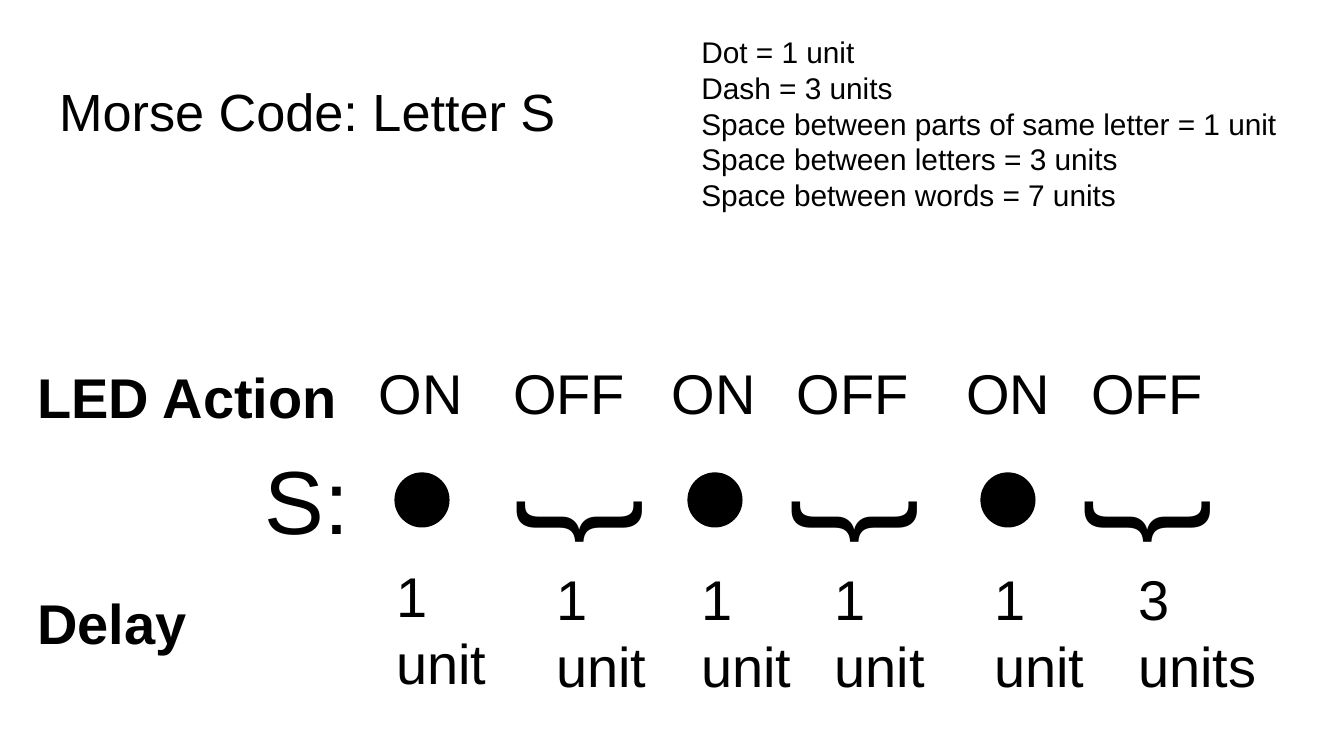
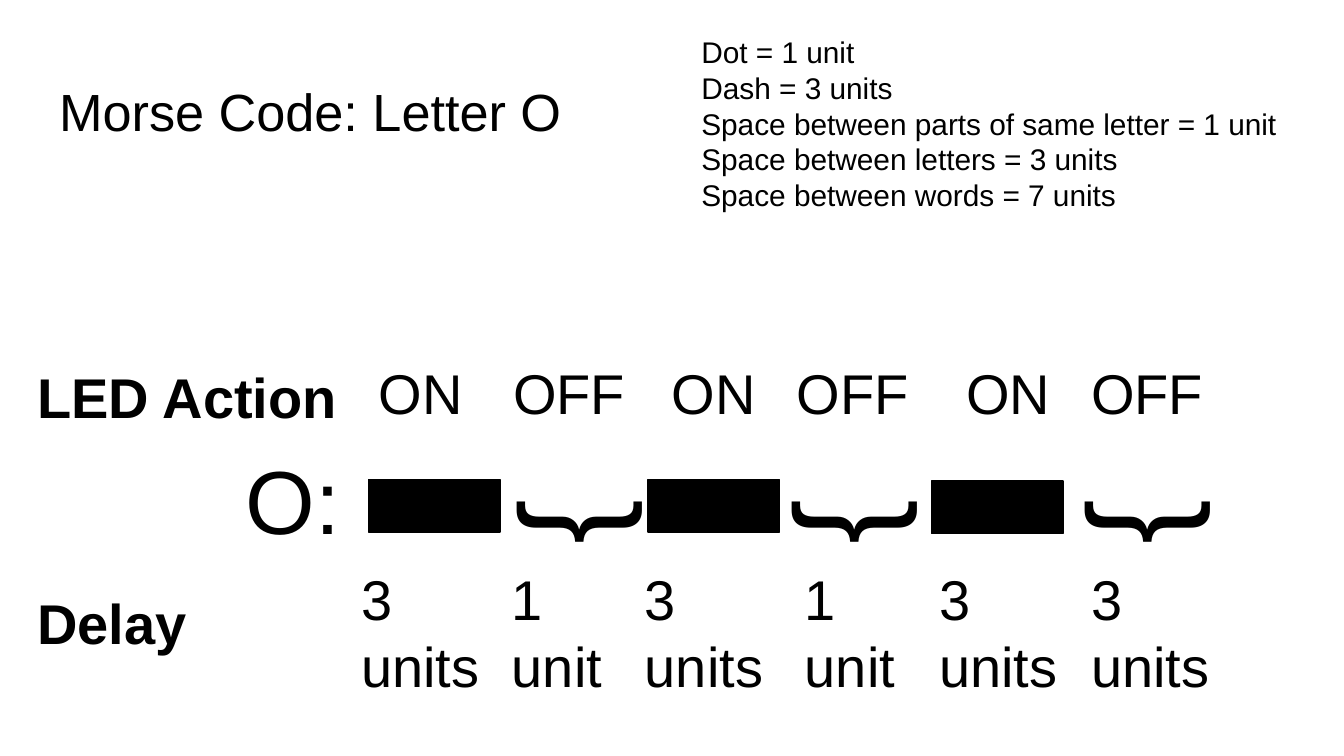
"""Build two slides that time the Morse code letters S and O."""
import pptx
import pptx.util
import pptx.dml.color
import pptx.enum.shapes
import pptx.enum.text

SCALE = 9144
INK = {"text": "000000", "mark": "000000", "page": "FFFFFF"}
FONT = "Arial"
TOP = pptx.enum.text.MSO_ANCHOR.TOP
MID = pptx.enum.text.MSO_ANCHOR.MIDDLE
KIND = pptx.enum.shapes.MSO_SHAPE

RULES = """Dot = 1 unit
Dash = 3 units
Space between parts of same letter = 1 unit
Space between letters = 3 units
Space between words = 7 units"""
ON = [272, 490, 709]
OFF = [372, 583, 802]
BRACES = [383, 588, 806]

LETTERS = [
    {
        "name": "S", "label": (187, 214), "wide": 238,
        "kind": KIND.OVAL, "size": (40, 40),
        "marks": [(294, 352), (512, 352), (730, 352)],
        "delays": [
            ("1 unit", 285, 442, 104), ("1 unit", 404, 444, 104),
            ("1 unit", 512, 444, 93), ("1 unit", 611, 444, 93),
            ("1 unit", 730, 444, 107), ("3\nunits", 837, 444, 160),
        ],
    },
    {
        "name": "O", "label": (173, 98), "wide": 135,
        "kind": KIND.RECTANGLE, "size": (98, 39),
        "marks": [(274, 357), (482, 357), (693, 358)],
        "delays": [
            ("3 units", 259, 444, 124), ("1 unit", 371, 444, 103),
            ("3 units", 470, 444, 124), ("1 unit", 589, 444, 103),
            ("3 units", 689, 444, 124), ("3\nunits", 802, 444, 195),
        ],
    },
]


def style(shape, text, size, bold=False, anchor=TOP):
    """Fill a shape with left-aligned text."""
    frame = shape.text_frame
    frame.text = text
    frame.word_wrap = True
    frame.auto_size = pptx.enum.text.MSO_AUTO_SIZE.NONE
    frame.vertical_anchor = anchor
    frame.margin_left = frame.margin_right = 10 * SCALE
    frame.margin_top = frame.margin_bottom = 10 * SCALE
    for para in frame.paragraphs:
        para.alignment = pptx.enum.text.PP_ALIGN.LEFT
        for run in para.runs:
            run.font.name = FONT
            run.font.size = pptx.util.Pt(size)
            run.font.bold = bold
            run.font.color.rgb = pptx.dml.color.RGBColor.from_string(INK["text"])


def label(slide, text, box, size, bold=False, anchor=TOP):
    """Add a text box placed in px."""
    shape = slide.shapes.add_textbox(*[n * SCALE for n in box])
    style(shape, text, size, bold, anchor)
    return shape


deck = pptx.Presentation()
deck.slide_width = 1000 * SCALE
deck.slide_height = pptx.util.Inches(5.625)
back = deck.slide_master.background.fill
back.solid()
back.fore_color.rgb = pptx.dml.color.RGBColor.from_string(INK["page"])

for letter in LETTERS:
    slide = deck.slides.add_slide(deck.slide_layouts[5])
    title = slide.shapes.title
    title.left, title.top = 34 * SCALE, 49 * SCALE
    title.width, title.height = 932 * SCALE, 63 * SCALE
    style(title, "Morse Code: Letter " + letter["name"], 28)

    for left, top in letter["marks"]:
        box = (left, top, *letter["size"])
        mark = slide.shapes.add_shape(letter["kind"], *[n * SCALE for n in box])
        color = pptx.dml.color.RGBColor.from_string(INK["mark"])
        mark.shadow.inherit = False
        mark.fill.solid()
        mark.fill.fore_color.rgb = color
        mark.line.color.rgb = color
        mark.line.width = pptx.util.Pt(0.75)

    for left in BRACES:
        brace = label(slide, "{", (left, 316, 63, 135), 72)
        brace.rotation = 270

    label(slide, "LED Action", (18, 260, 895, 63), 30, True)
    label(slide, "Delay", (18, 428, letter["wide"], 80), 30, True)
    left, width = letter["label"]
    label(slide, letter["name"] + ":", (left, 321, width, 126), 48)

    for word, lefts, width in (("ON", ON, 84), ("OFF", OFF, 117)):
        for left in lefts:
            label(slide, word, (left, 260, width, 63), 30, anchor=MID)
    for text, left, top, width in letter["delays"]:
        label(slide, text, (left, top, width, 52), 30, anchor=MID)

    label(slide, RULES, (512, 15, 469, 170), 16)

deck.save("out.pptx")
